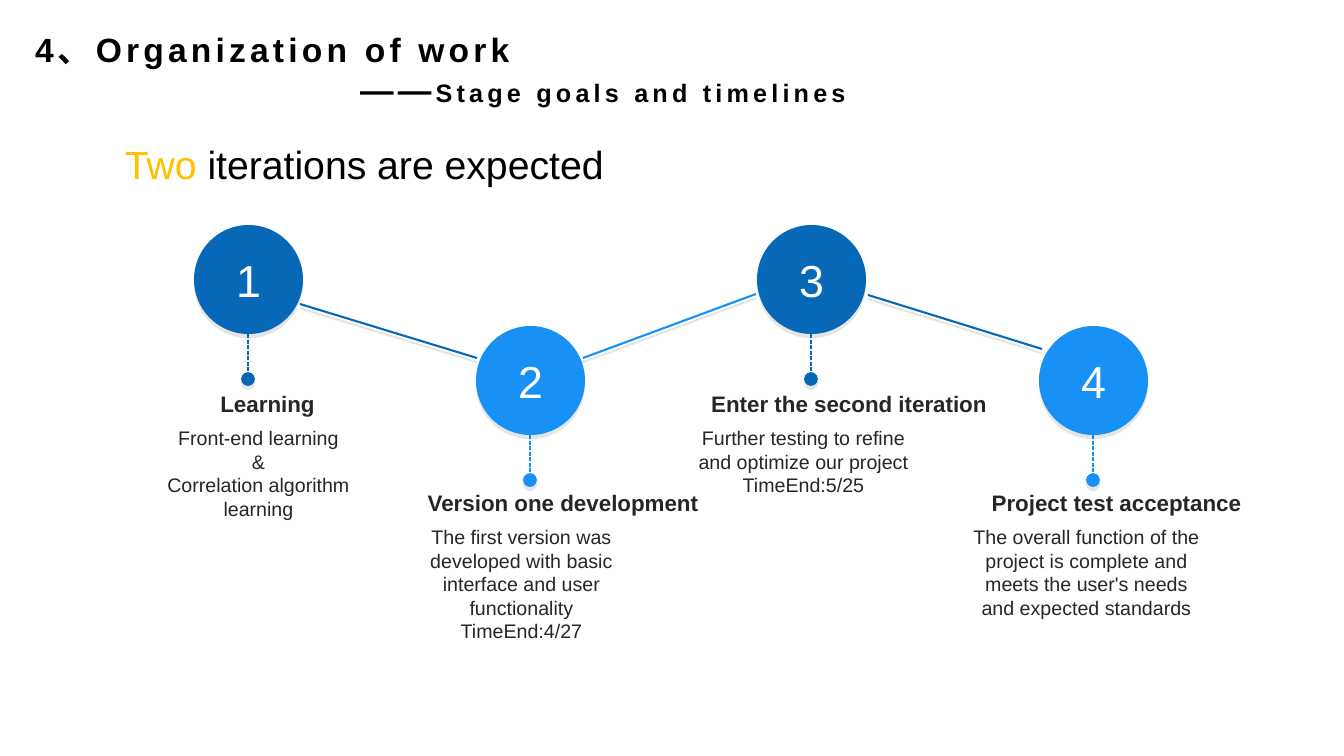
from dataclasses import dataclass

from lxml import etree
from pptx import Presentation
from pptx.dml.color import RGBColor
from pptx.enum.dml import MSO_LINE
from pptx.enum.shapes import MSO_CONNECTOR, MSO_SHAPE
from pptx.enum.text import MSO_ANCHOR, MSO_AUTO_SIZE, PP_ALIGN
from pptx.oxml import parse_xml
from pptx.oxml.ns import nsdecls, qn
from pptx.util import Pt

STRAIGHT = MSO_CONNECTOR.STRAIGHT
ELLIPSE = MSO_SHAPE.OVAL
DASHED = MSO_LINE.SQUARE_DOT
TOP, MIDDLE = MSO_ANCHOR.TOP, MSO_ANCHOR.MIDDLE
LEFT, CENTER = PP_ALIGN.LEFT, PP_ALIGN.CENTER
GROW = MSO_AUTO_SIZE.SHAPE_TO_FIT_TEXT
TITLE_ONLY = 5

SLIDE_WIDTH, SLIDE_HEIGHT = 1344, 756
EMU_PER_PX = 12192000 / SLIDE_WIDTH
DIAMETER = 109
STEM_LENGTH = 45
STAGE_SPAN = 845
SHADOW = (
    f'<a:effectLst {nsdecls("a")}><a:outerShdw blurRad="0" dist="38100" dir="5400000">'
    '<a:srgbClr val="000000"><a:alpha val="10000"/></a:srgbClr>'
    '</a:outerShdw></a:effectLst>'
)


@dataclass(frozen=True)
class Theme:
    font: str = "Arial"
    dark: str = "0868B8"
    light: str = "1791F5"
    accent: str = "FFC000"
    black: str = "000000"
    white: str = "FFFFFF"
    text: str = "262626"
    title_size: int = 24
    subtitle_size: int = 18
    statement_size: int = 28
    number_size: int = 32
    heading_size: int = 16
    body_size: int = 14


@dataclass(frozen=True)
class Stage:
    level: int
    text_left: int
    heading_width: int
    body_height: int
    heading: str
    body: str


STAGES = [
    Stage(0, 131, 255, 129, "Learning",
          "Front-end learning\n&\nCorrelation algorithm learning"),
    Stage(1, 394, 320, 129, "Version one development",
          "The first version was developed with basic interface and user functionality\n"
          "TimeEnd:4/27"),
    Stage(0, 676, 328, 82, "Enter the second iteration",
          "Further testing to refine and optimize our project\nTimeEnd:5/25"),
    Stage(1, 959, 297, 105, "Project test acceptance",
          "The overall function of the project is complete and meets the user's needs "
          "and expected standards"),
]


def px(length):
    return round(length * EMU_PER_PX)


class SlideBuilder:
    def __init__(self, slide, theme):
        self.slide = slide
        self.theme = theme

    def style_run(self, run, size, color, bold=False):
        run.font.name = self.theme.font
        run.font.size = Pt(size)
        run.font.bold = bold
        run.font.color.rgb = RGBColor.from_string(color)

    def cast_shadow(self, shape):
        properties = shape._element.spPr
        for effects in properties.findall(qn("a:effectLst")):
            properties.remove(effects)
        properties.append(parse_xml(SHADOW))

    def title(self, heading, dashes, subtitle):
        shape = self.slide.shapes.title
        shape.left, shape.top, shape.width, shape.height = map(px, (25, 24, 1076, 92))
        frame = shape.text_frame
        frame.text = f"{heading}\n{dashes}"
        frame.vertical_anchor = TOP
        frame.auto_size = GROW
        frame.word_wrap = True
        frame.paragraphs[1].add_run().text = subtitle
        frame.paragraphs[1]._p.get_or_add_pPr().set("marL", str(px(325)))
        for paragraph in frame.paragraphs:
            paragraph.alignment = LEFT
            for run in paragraph.runs:
                self.style_run(run, self.theme.title_size, self.theme.black, True)
                run._r.get_or_add_rPr().set("spc", "300")
        frame.paragraphs[1].runs[1].font.size = Pt(self.theme.subtitle_size)

    def text(self, left, top, width, height, text, size, color, bold=False, alignment=CENTER):
        shape = self.slide.shapes.add_textbox(*map(px, (left, top, width, height)))
        frame = shape.text_frame
        frame.word_wrap = True
        frame.auto_size = GROW
        frame.text = text
        for paragraph in frame.paragraphs:
            paragraph.alignment = alignment
            for run in paragraph.runs:
                self.style_run(run, size, color, bold)
        return frame

    def statement(self, highlight, rest):
        theme = self.theme
        frame = self.text(115, 135, 599, 57, highlight, theme.statement_size, theme.accent,
                          alignment=LEFT)
        run = frame.paragraphs[0].add_run()
        run.text = rest
        self.style_run(run, theme.statement_size, theme.black)

    def line(self, start, end, color, weight):
        connector = self.slide.shapes.add_connector(STRAIGHT, *map(px, (*start, *end)))
        connector.line.color.rgb = RGBColor.from_string(color)
        connector.line.width = Pt(weight)
        self.cast_shadow(connector)
        return connector

    def stem(self, center, top, color):
        connector = self.line((center, top), (center, top + STEM_LENGTH), color, 1)
        connector.line.dash_style = DASHED
        etree.SubElement(connector.line._get_or_add_ln(), qn("a:tailEnd"),
                         type="oval", w="lg", len="lg")

    def circle(self, left, top, label, color):
        shape = self.slide.shapes.add_shape(ELLIPSE, *map(px, (left, top, DIAMETER, DIAMETER)))
        shape.fill.solid()
        shape.fill.fore_color.rgb = RGBColor.from_string(color)
        shape.line.fill.background()
        self.cast_shadow(shape)
        frame = shape.text_frame
        frame.text = label
        frame.vertical_anchor = MIDDLE
        frame.paragraphs[0].alignment = CENTER
        self.style_run(frame.paragraphs[0].runs[0], self.theme.number_size, self.theme.white)

    def stage(self, index, stage):
        theme = self.theme
        color = (theme.dark, theme.light)[stage.level]
        left = 194 + round(index * STAGE_SPAN / (len(STAGES) - 1))
        top = 225 + 101 * stage.level
        self.circle(left, top, str(index + 1), color)
        self.stem(left + DIAMETER // 2, top + DIAMETER, color)
        text_top = 388 + 99 * stage.level
        heading = self.text(stage.text_left, text_top, stage.heading_width, 34,
                            stage.heading, theme.heading_size, theme.text, True)
        heading.margin_left = px(28)
        heading.paragraphs[0].line_spacing = 0.9
        self.text(stage.text_left, text_top + 33, 255, stage.body_height,
                  stage.body, theme.body_size, theme.text)


def main():
    presentation = Presentation()
    presentation.slide_width = px(SLIDE_WIDTH)
    presentation.slide_height = px(SLIDE_HEIGHT)
    slide = presentation.slides.add_slide(presentation.slide_layouts[TITLE_ONLY])
    theme = Theme()
    builder = SlideBuilder(slide, theme)
    builder.title("4、Organization of work", "——", "Stage goals and timelines")
    builder.statement("Two", " iterations are expected")
    links = [
        ((300, 304), (477, 358), theme.dark),
        ((583, 358), (756, 294), theme.light),
        ((868, 295), (1042, 349), theme.dark),
    ]
    for start, end, color in links:
        builder.line(start, end, color, 1.5)
    for index, stage in enumerate(STAGES):
        builder.stage(index, stage)
    presentation.save("out.pptx")


if __name__ == "__main__":
    main()
